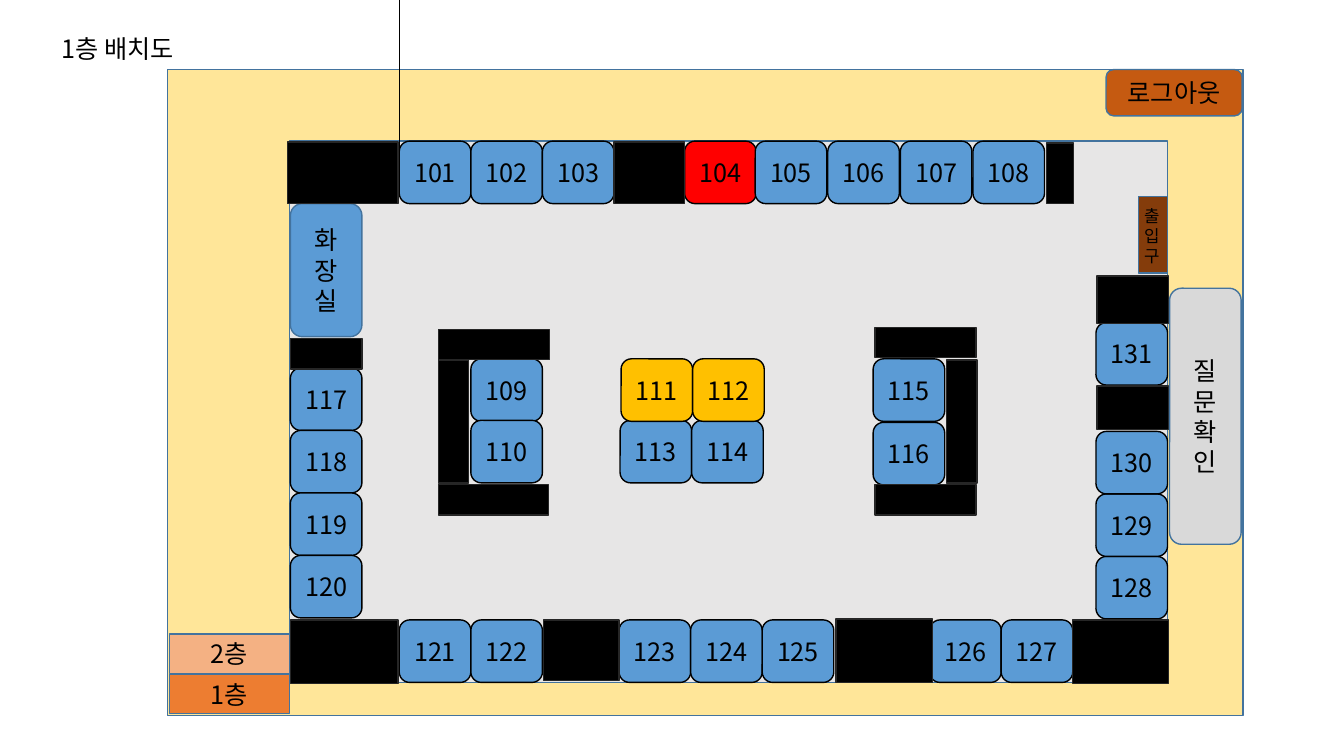
from dataclasses import dataclass

from lxml import etree
from pptx import Presentation
from pptx import util as u
from pptx.dml.color import RGBColor
from pptx.enum import shapes, text
from pptx.oxml.ns import qn


@dataclass(frozen=True)
class Theme:
    font: str = "Noto Sans CJK KR"
    label_size: int = 18
    small_size: int = 12
    ink: str = "000000"
    outline: str = "43739E"
    wall_outline: str = "262626"
    corridor: str = "FFE699"
    floor: str = "E7E6E6"
    entrance: str = "843C0B"
    seat: str = "5B9BD5"
    occupied: str = "FF0000"
    reserved: str = "FFC000"
    logout: str = "C55A11"
    question: str = "D9D9D9"
    current_floor: str = "ED7D31"
    other_floor: str = "F4B183"


@dataclass(frozen=True)
class Box:
    left: float
    top: float
    width: float
    height: float


@dataclass(frozen=True)
class Panel:
    box: Box
    fill: str
    label: str = ""
    rounded: bool = False


@dataclass(frozen=True)
class SeatRun:
    first: int
    count: int
    left: float
    top: float
    step_x: float = 0
    step_y: float = 0
    fill: str = "5B9BD5"


THEME = Theme()
SEAT_WIDTH, SEAT_HEIGHT = 0.71, 0.62

ROOMS = [
    Panel(Box(1.66, 0.69, 10.67, 6.41), THEME.corridor),
    Panel(Box(2.87, 1.4, 8.71, 5.37), THEME.floor),
    Panel(Box(11.29, 1.95, 0.29, 0.76), THEME.entrance),
    Panel(Box(2.88, 2.02, 0.71, 1.32), THEME.seat, "화\n장\n실", True),
]

BUTTONS = [
    Panel(Box(10.97, 0.69, 1.35, 0.46), THEME.logout, "로그아웃", True),
    Panel(Box(11.6, 2.86, 0.71, 2.54), THEME.question, "질\n문\n확\n인", True),
    Panel(Box(1.68, 6.69, 1.19, 0.39), THEME.current_floor, "1층"),
    Panel(Box(1.68, 6.29, 1.19, 0.39), THEME.other_floor, "2층"),
]

SEAT_RUNS = [
    SeatRun(101, 3, 3.96, 1.4, step_x=0.71),
    SeatRun(104, 1, 6.79, 1.4, fill=THEME.occupied),
    SeatRun(105, 4, 7.49, 1.4, step_x=0.72),
    SeatRun(109, 2, 4.67, 3.56, step_y=0.61),
    SeatRun(113, 2, 6.15, 4.17, step_x=0.71),
    SeatRun(111, 2, 6.16, 3.56, step_x=0.71, fill=THEME.reserved),
    SeatRun(115, 2, 8.66, 3.56, step_y=0.63),
    SeatRun(117, 4, 2.88, 3.65, step_y=0.62),
    SeatRun(121, 2, 3.96, 6.15, step_x=0.71),
    SeatRun(123, 3, 6.14, 6.15, step_x=0.71),
    SeatRun(126, 2, 9.22, 6.15, step_x=0.71),
    SeatRun(128, 3, 10.87, 5.52, step_y=-0.62),
    SeatRun(131, 1, 10.87, 3.2),
]

WALLS = [
    Box(2.85, 1.41, 1.1, 0.61),
    Box(6.09, 1.41, 0.7, 0.61),
    Box(10.38, 1.42, 0.27, 0.6),
    Box(2.88, 3.36, 0.71, 0.3),
    Box(10.88, 2.74, 0.71, 0.47),
    Box(10.88, 3.83, 0.71, 0.43),
    Box(2.88, 6.15, 1.07, 0.63),
    Box(5.39, 6.15, 0.75, 0.6),
    Box(8.29, 6.14, 0.96, 0.63),
    Box(10.64, 6.15, 0.95, 0.63),
    Box(4.35, 3.27, 1.1, 0.3),
    Box(4.35, 3.57, 0.3, 1.22),
    Box(4.35, 4.81, 1.09, 0.3),
    Box(8.68, 3.25, 1, 0.3),
    Box(9.39, 3.57, 0.3, 1.22),
    Box(8.68, 4.81, 1, 0.3),
]


def to_inches(box: Box) -> list[u.Length]:
    return [u.Inches(value) for value in (box.left, box.top, box.width, box.height)]


def write_text(frame, content: str, size: int, alignment, anchor) -> None:
    frame.text = content
    frame.word_wrap = True
    frame.auto_size = text.MSO_AUTO_SIZE.NONE
    frame.vertical_anchor = anchor
    for paragraph in frame.paragraphs:
        paragraph.alignment = alignment
        font = paragraph.font
        font.size = u.Pt(size)
        font.color.rgb = RGBColor.from_string(THEME.ink)
        font.name = THEME.font
        properties = paragraph._p.pPr.find(qn("a:defRPr"))
        etree.SubElement(properties, qn("a:ea"), typeface=THEME.font)


def draw_panel(slide, panel: Panel, outline: str) -> None:
    kind = shapes.MSO_SHAPE.ROUNDED_RECTANGLE if panel.rounded else shapes.MSO_SHAPE.RECTANGLE
    shape = slide.shapes.add_shape(kind, *to_inches(panel.box))
    shape.shadow.inherit = False
    shape.fill.solid()
    shape.fill.fore_color.rgb = RGBColor.from_string(panel.fill)
    shape.line.color.rgb = RGBColor.from_string(outline)
    shape.line.width = u.Pt(1)
    if panel.label:
        write_text(shape.text_frame, panel.label, THEME.label_size,
                   text.PP_ALIGN.CENTER, text.MSO_ANCHOR.MIDDLE)


def draw_seats(slide, run: SeatRun) -> None:
    for index in range(run.count):
        box = Box(run.left + index * run.step_x, run.top + index * run.step_y,
                  SEAT_WIDTH, SEAT_HEIGHT)
        draw_panel(slide, Panel(box, run.fill, str(run.first + index), True), THEME.ink)


def draw_title(slide) -> None:
    title = slide.shapes.title
    title.left, title.top, title.width, title.height = to_inches(Box(0.51, 0.28, 2.91, 0.4))
    write_text(title.text_frame, "1층 배치도", THEME.label_size,
               text.PP_ALIGN.LEFT, text.MSO_ANCHOR.TOP)


def draw_entrance_label(slide) -> None:
    label = slide.shapes.add_textbox(*to_inches(Box(11.25, 1.99, 0.39, 0.71)))
    write_text(label.text_frame, "출입구", THEME.small_size,
               text.PP_ALIGN.LEFT, text.MSO_ANCHOR.TOP)


def draw_guide_line(slide) -> None:
    line = slide.shapes.add_connector(
        shapes.MSO_CONNECTOR.STRAIGHT,
        u.Inches(3.96), u.Inches(1.71), u.Inches(3.96), u.Inches(0))
    line.line.color.rgb = RGBColor.from_string(THEME.ink)
    line.line.width = u.Pt(0.5)
    etree.SubElement(line._element.spPr, qn("a:effectLst"))


def main() -> None:
    presentation = Presentation()
    presentation.slide_width = u.Inches(13.33)
    presentation.slide_height = u.Inches(7.5)
    slide = presentation.slides.add_slide(presentation.slide_layouts[5])
    draw_title(slide)
    for room in ROOMS:
        draw_panel(slide, room, THEME.outline)
    draw_entrance_label(slide)
    for run in SEAT_RUNS:
        draw_seats(slide, run)
    for wall in WALLS:
        draw_panel(slide, Panel(wall, THEME.ink), THEME.wall_outline)
    for button in BUTTONS:
        draw_panel(slide, button, THEME.outline)
    draw_guide_line(slide)
    presentation.save("out.pptx")


if __name__ == "__main__":
    main()
